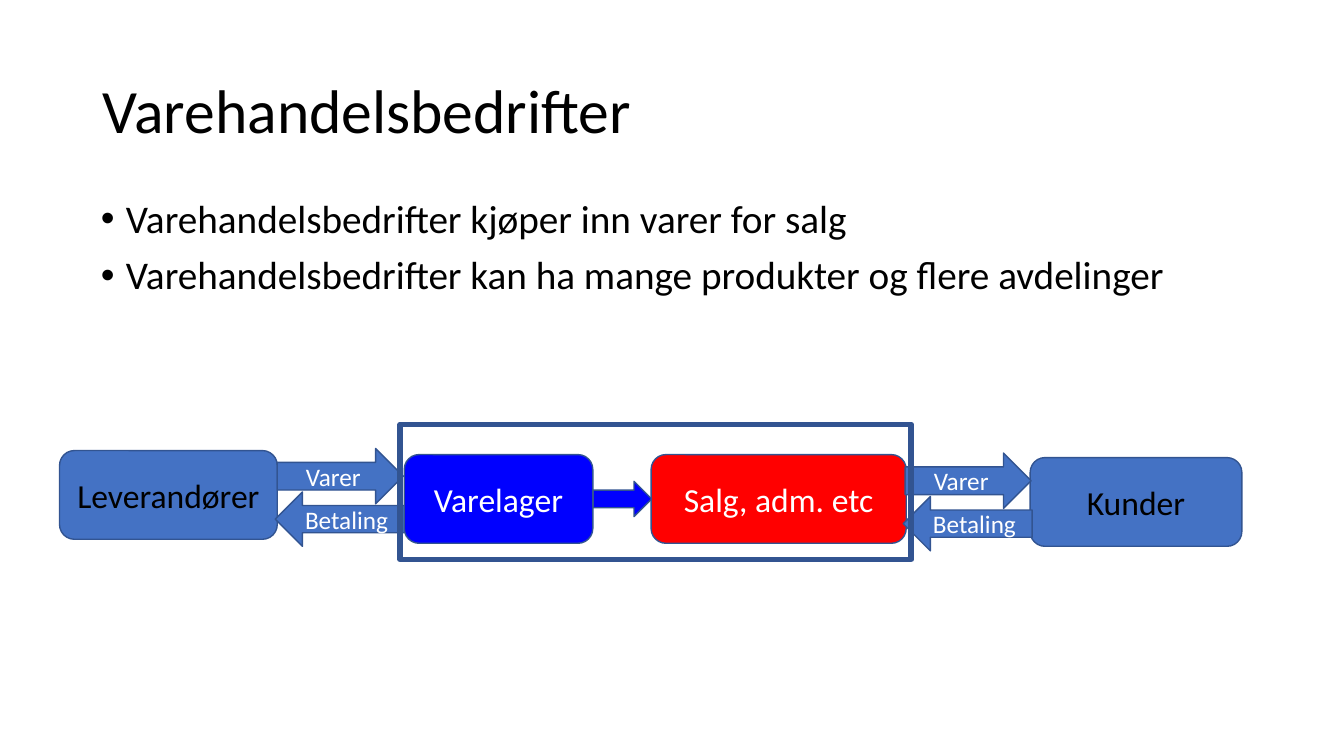
from dataclasses import dataclass
from typing import Optional

from pptx import Presentation
from pptx.dml.color import RGBColor
from pptx.enum.shapes import MSO_SHAPE
from pptx.enum.text import MSO_ANCHOR, MSO_AUTO_SIZE, PP_ALIGN
from pptx.util import Inches, Pt

BLACK = RGBColor(0x00, 0x00, 0x00)
WHITE = RGBColor(0xFF, 0xFF, 0xFF)
STEEL = RGBColor(0x44, 0x72, 0xC4)
OUTLINE = RGBColor(0x32, 0x54, 0x91)
BLUE = RGBColor(0x00, 0x00, 0xFF)
RED = RGBColor(0xFF, 0x00, 0x00)

SLIDE_WIDTH, SLIDE_HEIGHT = Inches(13.33), Inches(7.5)
BOX_HEIGHT = 11.73
TITLE = "Varehandelsbedrifter"
BULLETS = (
    "Varehandelsbedrifter kjøper inn varer for salg",
    "Varehandelsbedrifter kan ha mange produkter og flere avdelinger",
)


@dataclass(frozen=True)
class Area:
    """A rectangle in percent of the slide's width and height."""
    left: float
    top: float
    width: float
    height: float

    def lengths(self) -> dict:
        """Return the position and size as slide lengths."""
        return {
            "left": round(SLIDE_WIDTH * self.left / 100),
            "top": round(SLIDE_HEIGHT * self.top / 100),
            "width": round(SLIDE_WIDTH * self.width / 100),
            "height": round(SLIDE_HEIGHT * self.height / 100),
        }


@dataclass(frozen=True)
class Block:
    """A box, arrow or frame of the flow diagram."""
    kind: MSO_SHAPE
    area: Area
    fill: Optional[RGBColor] = STEEL
    text: str = ""
    size: float = 24
    color: RGBColor = WHITE
    line: float = 1


def trade(shift: float, drop: float) -> list[Block]:
    """Return the pair of arrows for goods and payment, moved by the given shares."""
    return [
        Block(MSO_SHAPE.RIGHT_ARROW, Area(20.63 + shift, 59.33 + drop, 9.38, 7.33),
              text="Varer", size=18),
        Block(MSO_SHAPE.LEFT_ARROW, Area(20.48 + shift, 65.07 + drop, 9.6, 7.2),
              text="Betaling", size=18),
    ]


FLOW = [
    Block(MSO_SHAPE.ROUNDED_RECTANGLE, Area(4.43, 59.6, 16.2, BOX_HEIGHT),
          text="Leverandører", color=BLACK),
    Block(MSO_SHAPE.ROUNDED_RECTANGLE, Area(76.65, 60.53, 15.75, BOX_HEIGHT),
          text="Kunder", color=BLACK),
    Block(MSO_SHAPE.ROUNDED_RECTANGLE, Area(30.08, 60.13, 14.03, BOX_HEIGHT),
          BLUE, "Varelager"),
    Block(MSO_SHAPE.ROUNDED_RECTANGLE, Area(48.45, 60.13, 18.98, BOX_HEIGHT),
          RED, "Salg, adm. etc"),
    Block(MSO_SHAPE.RIGHT_ARROW, Area(44.14, 63.67, 4.35, 4.67), BLUE),
    *trade(0, 0),
    *trade(46.72, 0.6),
    Block(MSO_SHAPE.RECTANGLE, Area(29.78, 56.13, 38.03, 17.87), None, line=4),
]


def apply(target: object, values: dict) -> None:
    """Set each named attribute of the target."""
    for name, value in values.items():
        setattr(target, name, value)


def write(para, text: str, size: float, color: RGBColor, layout: dict) -> None:
    """Fill a paragraph with one formatted run."""
    apply(para, layout)
    span = para.add_run()
    span.text = text
    apply(span.font, {"name": "Calibri", "size": Pt(size)})
    span.font.color.rgb = color


def fill_placeholder(box, area: Area, lines: tuple[str, ...], size: float,
                     anchor: MSO_ANCHOR, before: float, indent: int) -> None:
    """Move a placeholder and write its lines."""
    apply(box, area.lengths())
    frame = box.text_frame
    apply(frame, {"word_wrap": True, "auto_size": MSO_AUTO_SIZE.NONE,
                  "vertical_anchor": anchor})
    layout = {"alignment": PP_ALIGN.LEFT, "line_spacing": 0.9, "space_before": Pt(before)}
    for number, line in enumerate(lines):
        para = frame.add_paragraph() if number else frame.paragraphs[0]
        write(para, line, size, BLACK, layout)
        properties = para._p.get_or_add_pPr()
        properties.set("marL", str(indent))
        properties.set("indent", str(-indent))


def draw_block(page, block: Block) -> None:
    """Draw one block of the flow diagram."""
    box = page.shapes.add_shape(block.kind, **block.area.lengths())
    box.shadow.inherit = False
    if block.fill is None:
        box.fill.background()
    else:
        box.fill.solid()
        box.fill.fore_color.rgb = block.fill
    box.line.color.rgb = OUTLINE
    box.line.width = Pt(block.line)
    if block.text:
        box.text_frame.vertical_anchor = MSO_ANCHOR.MIDDLE
        write(box.text_frame.paragraphs[0], block.text, block.size, block.color,
              {"alignment": PP_ALIGN.CENTER})


def main() -> None:
    """Build and save the slide."""
    deck = Presentation()
    apply(deck, {"slide_width": SLIDE_WIDTH, "slide_height": SLIDE_HEIGHT})
    page = deck.slides.add_slide(deck.slide_layouts[1])
    fill_placeholder(page.shapes.title, Area(6.9, 5.33, 86.25, 19.33), (TITLE,),
                     44, MSO_ANCHOR.MIDDLE, 0, 0)
    fill_placeholder(page.placeholders[1], Area(6.75, 25.73, 86.25, 63.47), BULLETS,
                     28, MSO_ANCHOR.TOP, 10, Inches(0.25))
    for block in FLOW:
        draw_block(page, block)
    deck.save("out.pptx")


if __name__ == "__main__":
    main()
